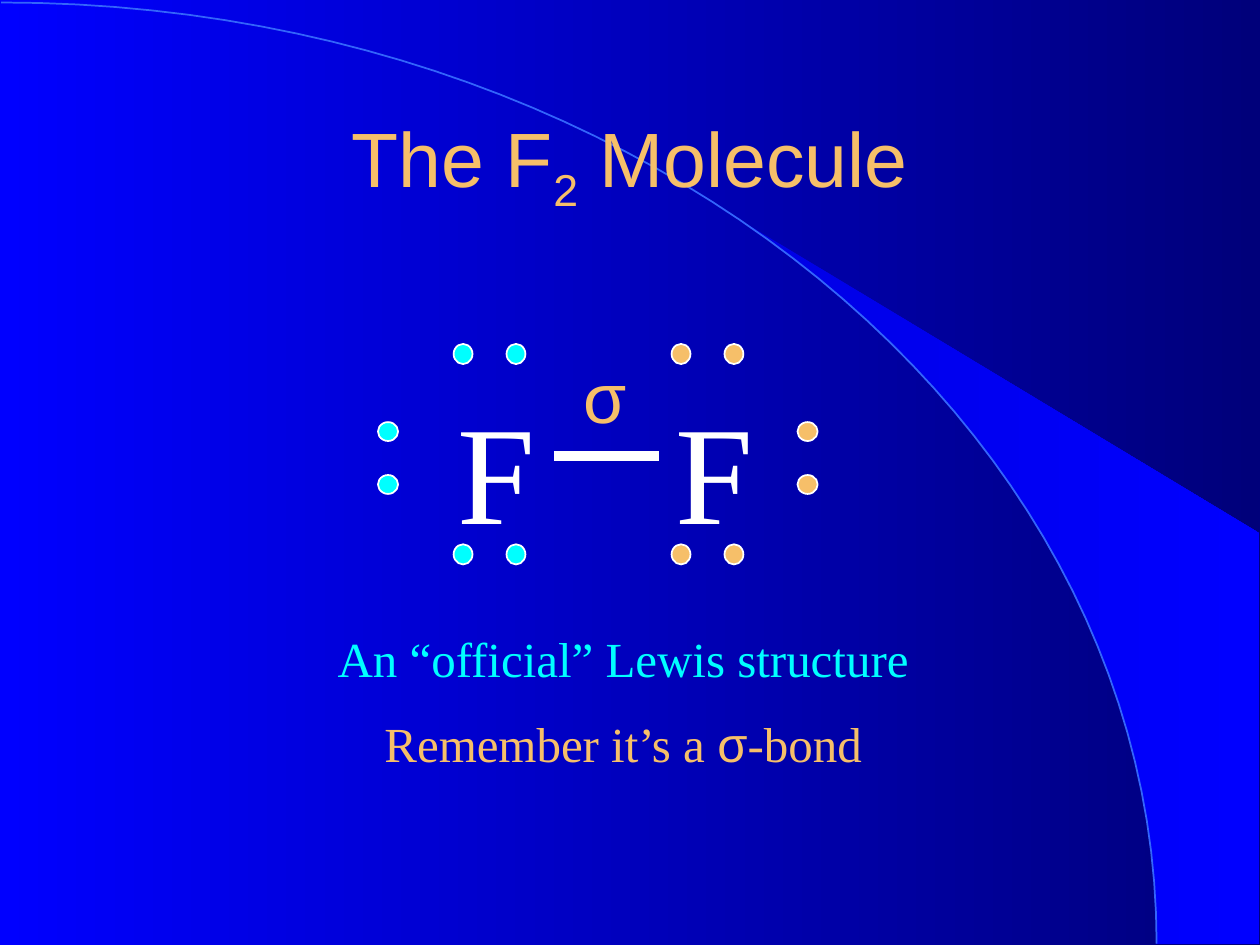
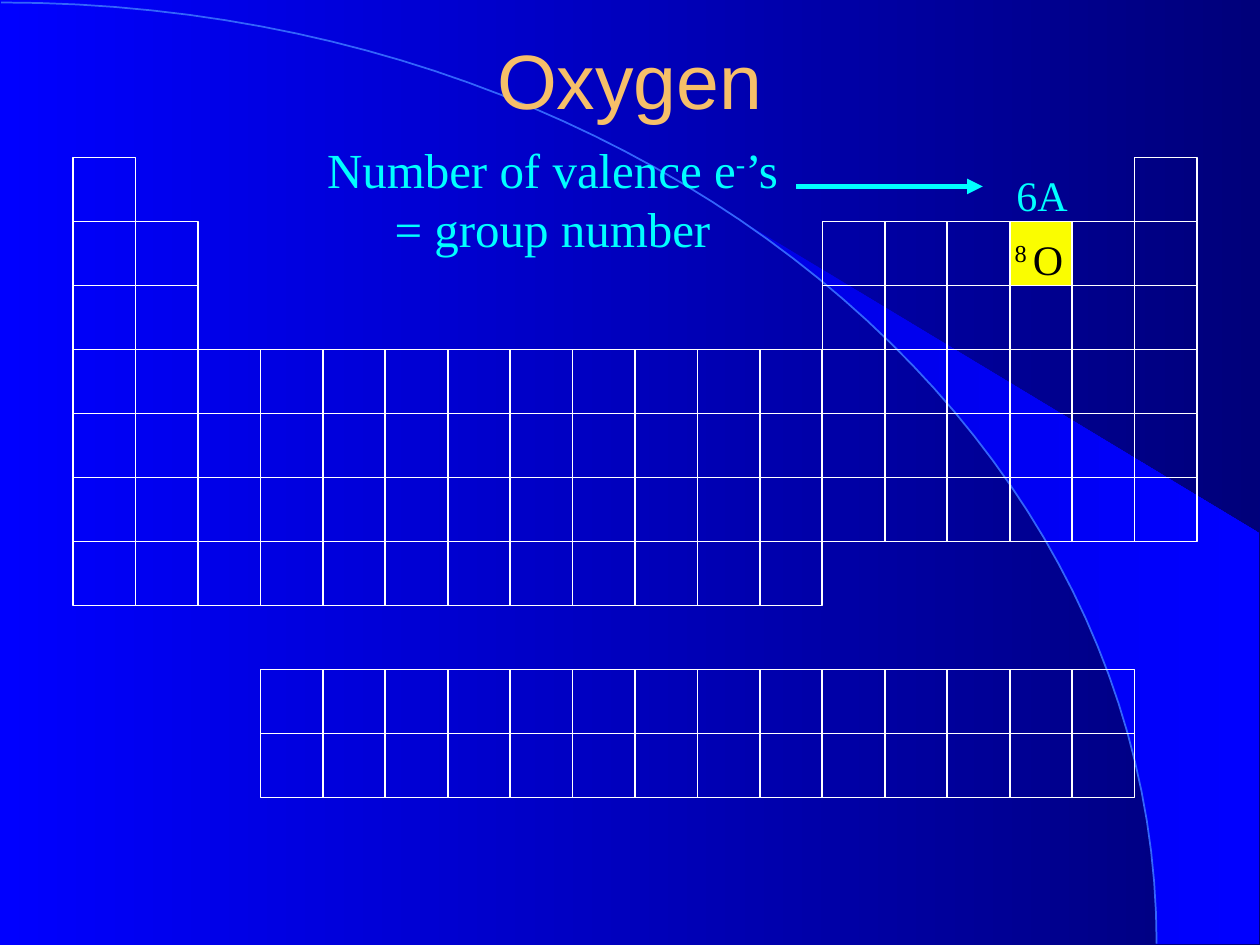
from dataclasses import dataclass
from itertools import chain

from lxml import etree
from pptx import Presentation
from pptx.dml.color import RGBColor
from pptx.enum.shapes import MSO_CONNECTOR, MSO_SHAPE
from pptx.enum.text import MSO_ANCHOR, PP_ALIGN
from pptx.oxml.ns import qn
from pptx.util import Inches, Pt

STRAIGHT = MSO_CONNECTOR.STRAIGHT
ELLIPSE = MSO_SHAPE.OVAL
RECTANGLE = MSO_SHAPE.RECTANGLE
CENTER = PP_ALIGN.CENTER
TOP, MIDDLE = MSO_ANCHOR.TOP, MSO_ANCHOR.MIDDLE


@dataclass(frozen=True)
class Theme:
    sans: str = "Arial"
    serif: str = "Times New Roman"
    white: str = "FFFFFF"
    black: str = "000000"
    cyan: str = "00FFFF"
    gold: str = "F6BF69"
    yellow: str = "FAFD00"
    arc: str = "3365FB"
    background: tuple = ("0000FF", "00007A")
    wedge: tuple = ("0000E5", "0000FF")
    title_size: int = 44
    atom_size: int = 80
    sigma_size: int = 40
    body_size: int = 28
    cell_size: int = 24
    outline: int = 1


THEME = Theme()
SLIDE_WIDTH, SLIDE_HEIGHT = 10, 7.5
ARC_CONTROLS = ((0.01, 0.02), (5.08, 0.02), (9.18, 3.37), (9.18, 7.49))
ARC_STEPS = 50
WEDGE_START = 22
SUPERSCRIPT, SUBSCRIPT = 30000, -25000


def set_values(target, values):
    for name, value in values.items():
        setattr(target, name, value)


def set_gradient(fill, colors):
    """Fill from left to right."""
    fill.gradient()
    fill.gradient_angle = 0
    for stop, color in zip(fill.gradient_stops, colors):
        stop.color.rgb = RGBColor.from_string(color)


def set_line(line, color, width):
    line.color.rgb = RGBColor.from_string(color)
    line.width = Pt(width)


def add_shape(slide, kind, box, fill=None):
    shape = slide.shapes.add_shape(kind, *map(Inches, box))
    shape.shadow.inherit = False
    if fill:
        shape.fill.solid()
        shape.fill.fore_color.rgb = RGBColor.from_string(fill)
    else:
        shape.fill.background()
    set_line(shape.line, THEME.white, THEME.outline)


def add_line(slide, start, end, color, width, arrow=False):
    line = slide.shapes.add_connector(STRAIGHT, *map(Inches, start + end))
    set_line(line.line, color, width)
    if arrow:
        etree.SubElement(line.line._get_or_add_ln(), qn("a:tailEnd"), type="triangle")
    etree.SubElement(line._element.spPr, qn("a:effectLst"))


def add_text(slide, box, paragraphs, size, color, font=THEME.serif, anchor=TOP):
    """Each paragraph is a list of (text, changes); changes may hold
    font, color and baseline for that run."""
    frame = slide.shapes.add_textbox(*map(Inches, box)).text_frame
    lead = size * 0.1 if anchor == TOP else 0
    set_values(frame, {
        "word_wrap": True,
        "vertical_anchor": anchor,
        "margin_top": Inches(0.05) + Pt(lead),
    })
    for index, runs in enumerate(paragraphs):
        paragraph = frame.add_paragraph() if index else frame.paragraphs[0]
        paragraph.alignment = CENTER
        if index:
            paragraph.space_before = Pt(15)
        for text, changes in runs:
            run = paragraph.add_run()
            run.text = text
            set_values(run.font, {"size": Pt(size), "name": changes.get("font", font)})
            run.font.color.rgb = RGBColor.from_string(changes.get("color", color))
            if "baseline" in changes:
                run._r.get_or_add_rPr().set("baseline", str(changes["baseline"]))


def add_freeform(slide, points, close):
    points = [tuple(map(Inches, point)) for point in points]
    builder = slide.shapes.build_freeform(*points[0])
    builder.add_line_segments(points[1:], close=close)
    shape = builder.convert_to_shape()
    shape.shadow.inherit = False
    return shape


def arc_points():
    """Points along the cubic curve given by ARC_CONTROLS."""
    points = []
    for step in range(ARC_STEPS + 1):
        t = step / ARC_STEPS
        weights = ((1 - t) ** 3, 3 * t * (1 - t) ** 2, 3 * t * t * (1 - t), t ** 3)
        points.append(tuple(
            sum(weight * value for weight, value in zip(weights, values))
            for values in zip(*ARC_CONTROLS)
        ))
    return points


def add_backdrop(slide):
    set_gradient(slide.background.fill, THEME.background)
    curve = arc_points()
    corners = [(9.99, 7.49), (9.99, 4.23)]
    wedge = add_freeform(slide, curve[WEDGE_START:] + corners, True)
    set_gradient(wedge.fill, THEME.wedge)
    wedge.line.fill.background()
    arc = add_freeform(slide, curve, False)
    arc.fill.background()
    set_line(arc.line, THEME.arc, THEME.outline)


def add_slide(presentation, title_runs, title_top):
    slide = presentation.slides.add_slide(presentation.slide_layouts[6])
    add_backdrop(slide)
    add_text(slide, (0.75, title_top, 8.5, 1.25), [title_runs],
             THEME.title_size, THEME.gold, THEME.sans, MIDDLE)
    return slide


def add_electron_pair(slide, x, y, color, upright=False):
    """Two dots around the centre (x, y), side by side or stacked."""
    for offset in (-0.21, 0.21):
        if upright:
            box = (x - 0.08, y + offset - 0.07, 0.16, 0.15)
        else:
            box = (x + offset - 0.07, y - 0.08, 0.15, 0.16)
        add_shape(slide, ELLIPSE, box, color)


def add_fluorine(slide, center_x, top, color, side):
    """A letter with three lone pairs; side is -1 for left, 1 for right."""
    add_text(slide, (center_x - 0.5, top, 1, 1.43), [[("F", {})]],
             THEME.atom_size, THEME.white)
    pairs_x = center_x - 0.06
    for offset in (-0.08, 1.51):
        add_electron_pair(slide, pairs_x, top + offset, color)
    add_electron_pair(slide, pairs_x + side * 0.8, top + 0.74, color, upright=True)


def build_fluorine_slide(presentation):
    title = [("The F", {}), ("2", {"baseline": SUBSCRIPT}), (" Molecule", {})]
    slide = add_slide(presentation, title, 0.67)
    add_fluorine(slide, 3.94, 2.89, THEME.cyan, -1)
    add_fluorine(slide, 5.67, 2.89, THEME.gold, 1)
    add_line(slide, (4.4, 3.62), (5.23, 3.62), THEME.white, 6)
    add_text(slide, (4.35, 2.7, 0.9, 0.77), [[("σ", {})]],
             THEME.sigma_size, THEME.gold, THEME.sans)
    gold = {"color": THEME.gold}
    captions = [
        [("An “official” Lewis structure", {})],
        [("Remember it’s a ", gold), ("σ", {**gold, "font": THEME.sans}), ("-bond", gold)],
    ]
    add_text(slide, (1.9, 4.9, 6.09, 1.27), captions, THEME.body_size, THEME.cyan)


def add_periodic_table(slide, left, top, width, height, highlighted):
    """Draw the element cells; highlighted is a (row, column) pair."""
    main_ends = chain(range(2), range(12, 18))
    upper_row = list(main_ends)
    rows = [[0, 17], upper_row, upper_row, range(18), range(18), range(18),
            range(12), [], range(3, 17), range(3, 17)]
    cell_width, cell_height = width / 18, height / len(rows)
    for row, columns in enumerate(rows):
        for column in columns:
            box = (left + column * cell_width, top + row * cell_height,
                   cell_width, cell_height)
            fill = THEME.yellow if (row, column) == highlighted else None
            add_shape(slide, RECTANGLE, box, fill)


def build_oxygen_slide(presentation):
    slide = add_slide(presentation, [("Oxygen", {})], 0)
    add_periodic_table(slide, 0.58, 1.25, 8.92, 5.08, highlighted=(1, 15))
    raised = {"baseline": SUPERSCRIPT}
    add_text(slide, (7.88, 1.77, 0.73, 0.5), [[("8 ", raised), ("O", {})]],
             THEME.cell_size, THEME.black)
    add_text(slide, (7.86, 1.26, 0.82, 0.5), [[("6A", {})]],
             THEME.cell_size, THEME.cyan)
    valence = [("Number of valence e", {}), ("-", raised), ("’s = group number", {})]
    add_text(slide, (2.45, 1.02, 3.87, 1.03), [valence], THEME.body_size, THEME.cyan)
    add_line(slide, (6.32, 1.48), (7.8, 1.48), THEME.cyan, 3, arrow=True)


def main():
    presentation = Presentation()
    set_values(presentation, {
        "slide_width": Inches(SLIDE_WIDTH),
        "slide_height": Inches(SLIDE_HEIGHT),
    })
    build_fluorine_slide(presentation)
    build_oxygen_slide(presentation)
    presentation.save("out.pptx")


if __name__ == "__main__":
    main()
